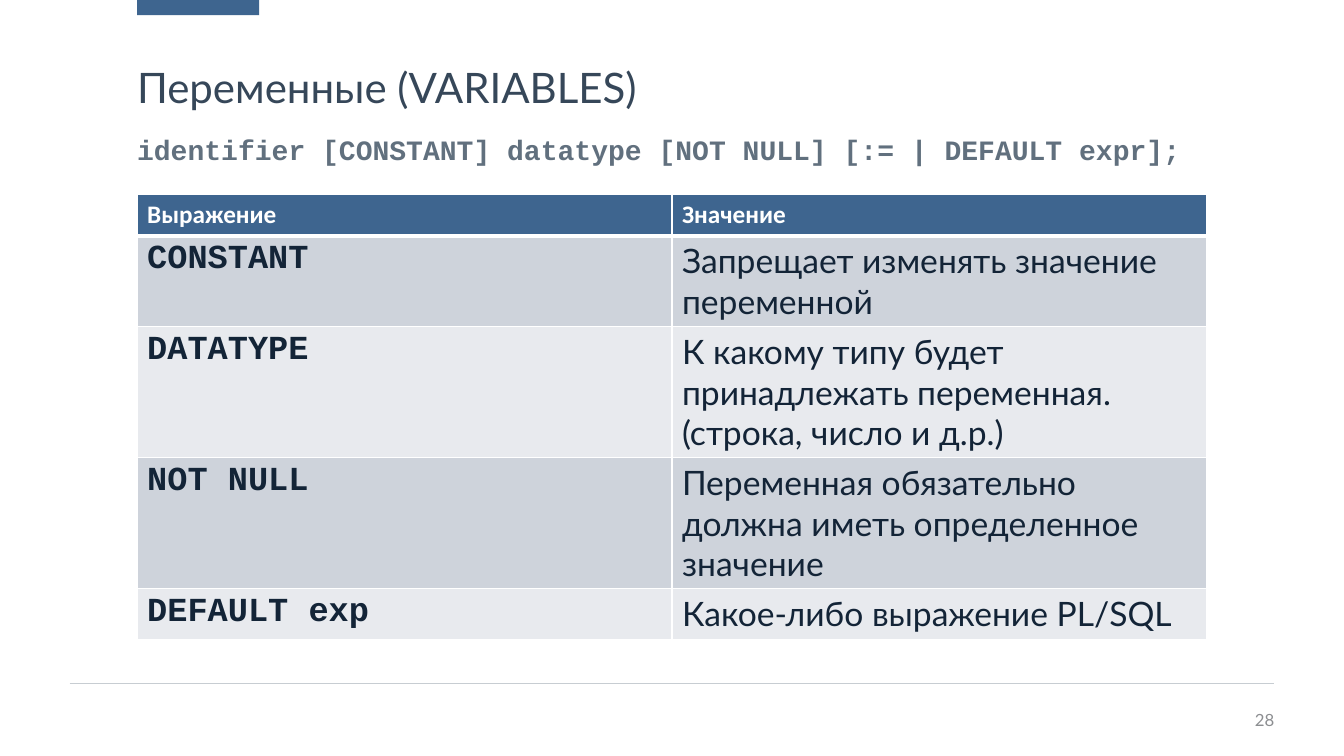
from lxml import etree
from pptx import Presentation
from pptx.dml.color import RGBColor
from pptx.enum import shapes, text
from pptx.oxml import ns
from pptx.util import Inches, Pt

COLORS = {
    "blue": "3E658F",
    "title": "364759",
    "syntax": "61707E",
    "cell": "132437",
    "band_dark": "CED3DB",
    "band_light": "E8EAEE",
    "white": "FFFFFF",
    "rule": "C7CDD2",
    "number": "8C8E91",
}
LEFT, WIDTH = 1.36, 10.61
HEADINGS = ("Выражение", "Значение")
EXPRESSIONS = [
    ("CONSTANT\u00a0", "Запрещает изменять значение переменной", 0.9),
    ("DATATYPE", "К какому типу будет принадлежать переменная. (строка, число и д.р.)", 1.3),
    ("NOT NULL", "Переменная обязательно должна иметь определенное значение", 1.3),
    ("DEFAULT exp", "Какое-либо выражение PL/SQL", 0.5),
]


def color(name):
    return RGBColor.from_string(COLORS[name])


def add_span(para, content, size, font, color_name, bold=False):
    span = para.add_run()
    span.text = content
    span.font.size = Pt(size)
    span.font.name = font
    span.font.bold = bold
    span.font.color.rgb = color(color_name)


def add_text(page, place, content, size, font, color_name, bold=False,
             align=text.PP_ALIGN.LEFT, anchor=text.MSO_ANCHOR.TOP, spacing=1.0):
    box = page.shapes.add_textbox(*map(Inches, place))
    frame = box.text_frame
    frame.word_wrap = True
    frame.vertical_anchor = anchor
    frame.margin_left = frame.margin_right = frame.margin_top = frame.margin_bottom = 0
    para = frame.paragraphs[0]
    para.alignment = align
    para.line_spacing = spacing
    add_span(para, content, size, font, color_name, bold)


def add_accent_bar(page):
    bar = page.shapes.add_shape(shapes.MSO_SHAPE.RECTANGLE, Inches(LEFT), Inches(0),
                                Inches(1.21), Inches(0.15))
    bar.shadow.inherit = False
    bar.fill.solid()
    bar.fill.fore_color.rgb = color("blue")
    bar.line.fill.background()


def add_footer_rule(page):
    rule = page.shapes.add_connector(shapes.MSO_CONNECTOR.STRAIGHT, Inches(0.69),
                                     Inches(6.78), Inches(12.64), Inches(6.78))
    rule.line.color.rgb = color("rule")
    rule.line.width = Pt(1)
    etree.SubElement(rule.element.spPr, ns.qn("a:effectLst"))


def set_borders(cell, top=1, bottom=1):
    """Give the cell white borders, with widths in points."""
    properties = cell._tc.get_or_add_tcPr()
    widths = {"a:lnL": 1, "a:lnR": 1, "a:lnT": top, "a:lnB": bottom}
    for position, (side, width) in enumerate(widths.items()):
        border = etree.Element(ns.qn(side), w=str(Pt(width)))
        fill = etree.SubElement(border, ns.qn("a:solidFill"))
        etree.SubElement(fill, ns.qn("a:srgbClr"), val=COLORS["white"])
        properties.insert(position, border)


def fill_cell(cell, fill_name, content, size, font, color_name, bold):
    cell.fill.solid()
    cell.fill.fore_color.rgb = color(fill_name)
    add_span(cell.text_frame.paragraphs[0], content, size, font, color_name, bold)


def add_expression_table(page):
    heights = [0.41] + [height for _, _, height in EXPRESSIONS]
    table = page.shapes.add_table(len(heights), len(HEADINGS), Inches(LEFT), Inches(1.93),
                                  Inches(WIDTH), Inches(sum(heights))).table
    for row, height in zip(table.rows, heights):
        row.height = Inches(height)
    for column, heading in enumerate(HEADINGS):
        cell = table.cell(0, column)
        fill_cell(cell, "blue", heading, 18, "Calibri", "white", True)
        set_borders(cell, bottom=3)
    for row, (expression, meaning, _) in enumerate(EXPRESSIONS, start=1):
        band = "band_dark" if row % 2 else "band_light"
        name_cell, meaning_cell = table.cell(row, 0), table.cell(row, 1)
        fill_cell(name_cell, band, expression, 24, "Courier New", "cell", True)
        fill_cell(meaning_cell, band, meaning, 24, "Lato", "cell", False)
        for cell in (name_cell, meaning_cell):
            set_borders(cell, top=3 if row == 1 else 1)


def main():
    deck = Presentation()
    deck.slide_width, deck.slide_height = Inches(13.33), Inches(7.5)
    page = deck.slides.add_slide(deck.slide_layouts[6])
    add_text(page, (11.97, 6.94, 0.67, 0.4), "28", 12, "Lato", "number",
             align=text.PP_ALIGN.RIGHT, anchor=text.MSO_ANCHOR.MIDDLE)
    add_footer_rule(page)
    add_accent_bar(page)
    add_text(page, (LEFT, 1.31, WIDTH, 0.38),
             "identifier [CONSTANT] datatype [NOT NULL] [:= | DEFAULT expr];",
             20, "Courier New", "syntax", bold=True)
    add_text(page, (LEFT, 0.65, WIDTH, 0.48), "Переменные (VARIABLES)",
             30, "Lato", "title", spacing=0.95)
    add_expression_table(page)
    deck.save("out.pptx")


if __name__ == "__main__":
    main()
